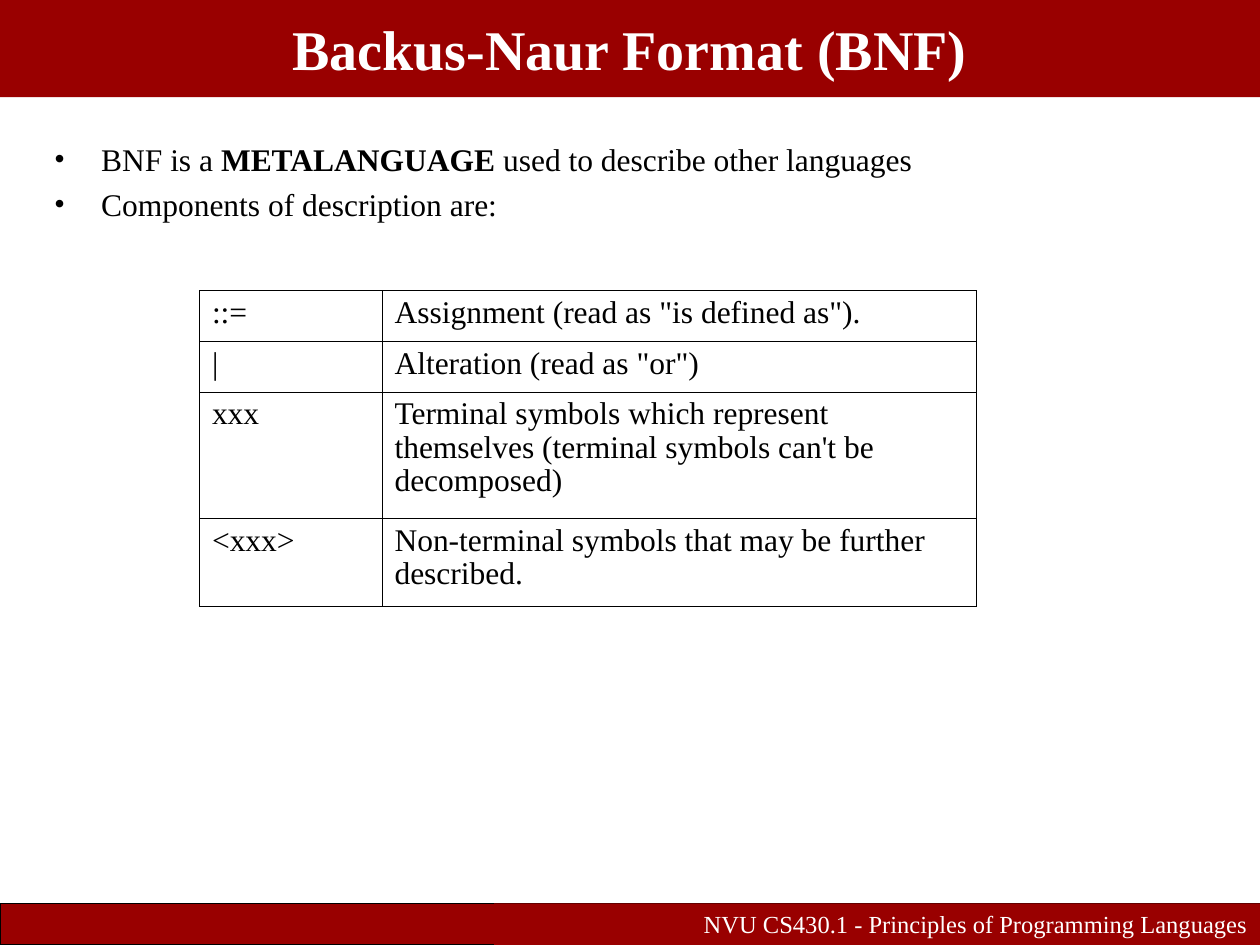
import pptx
import pptx.util
import pptx.dml.color
import pptx.enum.shapes
import pptx.enum.text
import pptx.oxml
import pptx.oxml.ns
from lxml import etree

Cm, Pt = pptx.util.Cm, pptx.util.Pt
RGBColor = pptx.dml.color.RGBColor
ALIGN = pptx.enum.text.PP_ALIGN
ANCHOR = pptx.enum.text.MSO_ANCHOR
qn = pptx.oxml.ns.qn

RED = RGBColor(0x99, 0x00, 0x00)
BLACK = RGBColor(0, 0, 0)
WHITE = RGBColor(255, 255, 255)
FONT = "Times New Roman"
INDENT = Cm(0.95)
SLIDE_W, SLIDE_H = 25.4, 19.05
FOOTER_H = 0.84

SYMBOLS = [
    ("::=", "Assignment (read as \"is defined as\")."),
    ("|", "Alteration (read as \"or\")"),
    ("xxx", "Terminal symbols which represent themselves "
            "(terminal symbols can't be decomposed)"),
    ("<xxx>", "Non-terminal symbols that may be further described."),
]
COL_WIDTHS = (3.68, 11.99)
ROW_HEIGHTS = (1.02, 1.02, 2.55, 1.78)


def add_text(p, text, size=18, color=BLACK, bold=False, align=None):
    """Append a formatted run to a paragraph."""
    if align is not None:
        p.alignment = align
    r = p.add_run()
    r.text = text
    r.font.name = FONT
    r.font.size = Pt(size)
    r.font.bold = bold
    r.font.color.rgb = color


def add_bar(s, x, y, w, h, outlined=False):
    """Add a red rectangle and return its text frame."""
    sp = s.shapes.add_shape(pptx.enum.shapes.MSO_SHAPE.RECTANGLE,
                            Cm(x), Cm(y), Cm(w), Cm(h))
    sp.shadow.inherit = False
    sp.fill.solid()
    sp.fill.fore_color.rgb = RED
    if outlined:
        sp.line.color.rgb = BLACK
        sp.line.width = Pt(0.74)
    else:
        sp.line.fill.background()
    tf = sp.text_frame
    tf.word_wrap = True
    return tf


def set_bullet(p):
    """Give a paragraph a hanging black bullet."""
    pPr = p._p.get_or_add_pPr()
    pPr.set("marL", str(INDENT))
    pPr.set("indent", str(-INDENT))
    clr = etree.SubElement(pPr, qn("a:buClr"))
    etree.SubElement(clr, qn("a:srgbClr"), val=str(BLACK))
    etree.SubElement(pPr, qn("a:buFont"), typeface=FONT)
    etree.SubElement(pPr, qn("a:buChar"), char="•")


def add_bullets(s, x, y, w, h, items):
    """Add a bulleted text box; each item is a list of (text, bold)."""
    tf = s.shapes.add_textbox(Cm(x), Cm(y), Cm(w), Cm(h)).text_frame
    tf.word_wrap = True
    for i, runs in enumerate(items):
        p = tf.add_paragraph() if i else tf.paragraphs[0]
        p.space_before = Pt(4.5)
        set_bullet(p)
        for text, bold in runs:
            add_text(p, text, bold=bold)


def set_borders(cell):
    """Draw a thin black line on all four sides of a cell."""
    tcPr = cell._tc.get_or_add_tcPr()
    for i, side in enumerate(("a:lnL", "a:lnR", "a:lnT", "a:lnB")):
        ln = etree.Element(qn(side), w=str(Pt(0.45)))
        fill = etree.SubElement(ln, qn("a:solidFill"))
        etree.SubElement(fill, qn("a:srgbClr"), val=str(BLACK))
        tcPr.insert(i, ln)


def add_symbol_table(s, x, y):
    """Add the table of BNF symbols and their meanings."""
    tbl = s.shapes.add_table(len(SYMBOLS), len(COL_WIDTHS), Cm(x), Cm(y),
                             Cm(sum(COL_WIDTHS)), Cm(sum(ROW_HEIGHTS))).table
    tbl.first_row = tbl.horz_banding = False
    for col, w in zip(tbl.columns, COL_WIDTHS):
        col.width = Cm(w)
    for row, h, texts in zip(tbl.rows, ROW_HEIGHTS, SYMBOLS):
        row.height = Cm(h)
        for cell, text in zip(row.cells, texts):
            cell.fill.background()
            set_borders(cell)
            p = cell.text_frame.paragraphs[0]
            p.line_spacing = 0.96
            add_text(p, text)


def main():
    """Build the slide and save it."""
    prs = pptx.Presentation()
    prs.slide_width, prs.slide_height = Cm(SLIDE_W), Cm(SLIDE_H)
    s = prs.slides.add_slide(prs.slide_layouts[6])
    footer_y = SLIDE_H - FOOTER_H

    add_bar(s, 0, footer_y, SLIDE_W, FOOTER_H, outlined=True)
    tf = add_bar(s, 0, 0, SLIDE_W, 1.96)
    tf.vertical_anchor = ANCHOR.MIDDLE
    add_text(tf.paragraphs[0], "Backus-Naur Format (BNF)", size=32,
             color=WHITE, bold=True, align=ALIGN.CENTER)

    add_bullets(s, 0.84, 2.69, 23.93, 2.59, [
        [("BNF is a ", False), ("METALANGUAGE", True),
         (" used to describe other languages", False)],
        [("Components of description are:", False)],
    ])
    add_symbol_table(s, 4.02, 5.86)

    tf = add_bar(s, 9.96, footer_y, SLIDE_W - 9.96, FOOTER_H)
    tf.vertical_anchor = ANCHOR.TOP
    add_text(tf.paragraphs[0],
             "NVU CS430.1 - Principles of Programming Languages",
             size=14, color=WHITE, align=ALIGN.RIGHT)

    prs.save("out.pptx")


main()
